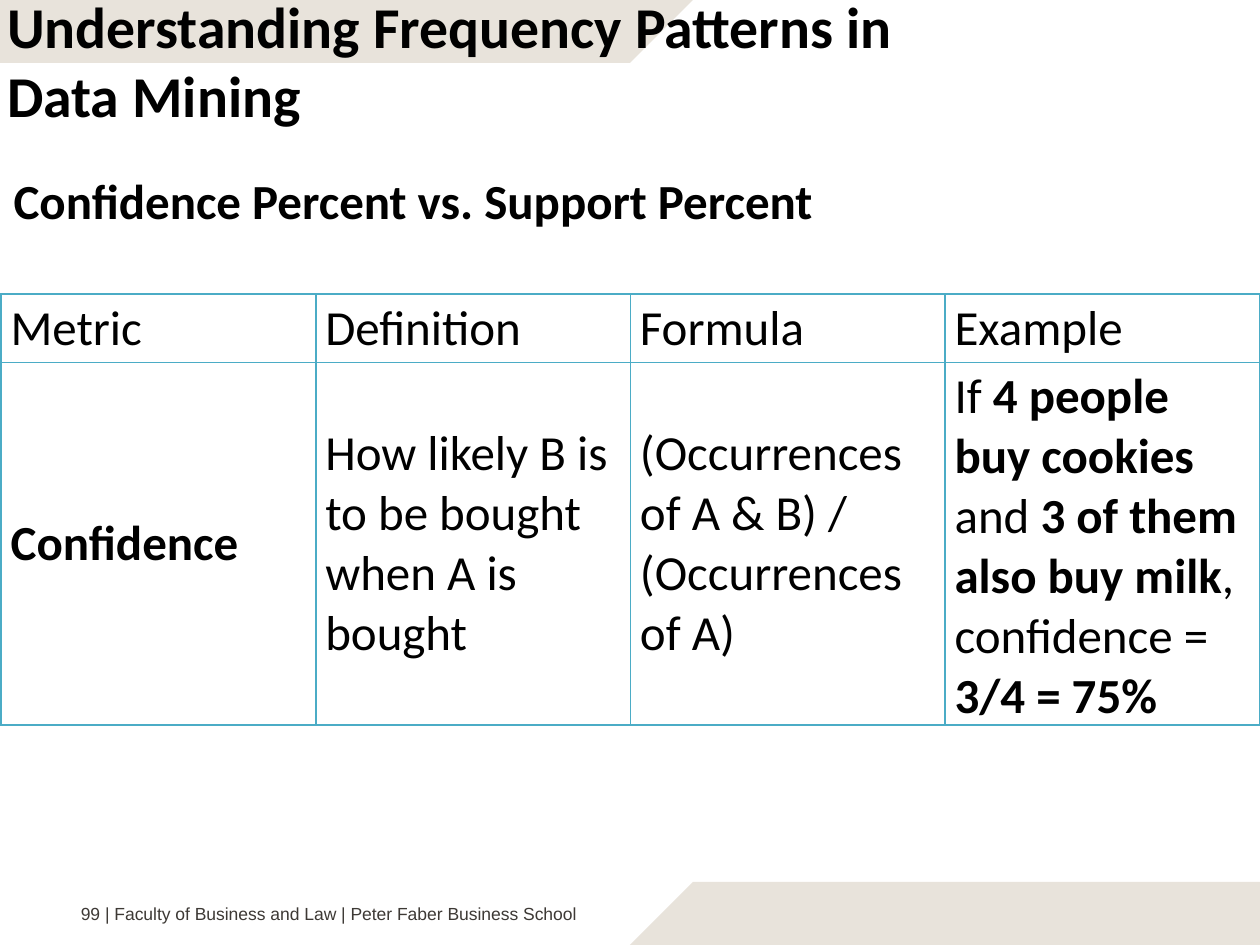
from pptx import Presentation
from pptx.util import Pt
from pptx.dml.color import RGBColor as RGB
from pptx.enum.text import MSO_ANCHOR as Anchor
from pptx.oxml import parse_xml
from pptx.oxml.ns import nsdecls

TITLE = "Understanding Frequency Patterns in Data Mining"
HEAD = "Confidence Percent vs. Support Percent"
FOOT = "99 | Faculty of Business and Law | Peter Faber Business School"
ROWS = [
    ["Metric", "Definition", "Formula", "Example"],
    [
        [("Confidence", True)],
        "How likely B is to be bought when A is bought",
        "(Occurrences of A & B) / (Occurrences of A)",
        [
            ("If ", False),
            ("4 people buy cookies", True),
            (" and ", False),
            ("3 of them also buy milk", True),
            (", confidence = ", False),
            ("3/4 = 75%", True),
        ],
    ],
]
BANDS = [
    [(0, 0), (396, 0), (360, 36), (0, 36)],
    [(396, 504), (720, 504), (720, 540), (360, 540)],
]
HIGHS = [39, 207]
WIDE = 719.3 / 4


def tint(code):
    return RGB.from_string(code)


def write(frame, text, size=28, bold=False, font="Calibri", color="000000"):
    para = frame.paragraphs[0]
    runs = [(text, bold)] if isinstance(text, str) else text
    for part, heavy in runs:
        run = para.add_run()
        run.text = part
        run.font.size = Pt(size)
        run.font.name = font
        run.font.bold = heavy
        run.font.color.rgb = tint(color)
    return para


def label(slide, place, text, wrap=True, inset=None, anchor=Anchor.MIDDLE, **style):
    frame = slide.shapes.add_textbox(*map(Pt, place)).text_frame
    frame.word_wrap = wrap
    frame.vertical_anchor = anchor
    if inset is not None:
        frame.margin_left = frame.margin_right = Pt(inset)
        frame.margin_top = frame.margin_bottom = Pt(inset)
    return write(frame, text, **style)


def band(slide, spots):
    form = slide.shapes.build_freeform(*spots[0], scale=Pt(1))
    form.add_line_segments(spots[1:], close=True)
    shape = form.convert_to_shape()
    shape.shadow.inherit = False
    shape.fill.solid()
    shape.fill.fore_color.rgb = tint("E8E3DB")
    shape.line.fill.background()


def border(cell, color):
    props = cell._tc.get_or_add_tcPr()
    for at, side in enumerate(("lnL", "lnR", "lnT", "lnB")):
        props.insert(at, parse_xml(
            f'<a:{side} {nsdecls("a")} w="{Pt(1)}"><a:solidFill>'
            f'<a:srgbClr val="{color}"/></a:solidFill></a:{side}>'))


def grid(slide):
    place = map(Pt, (0.7, 168, WIDE * 4, sum(HIGHS)))
    table = slide.shapes.add_table(len(ROWS), len(ROWS[0]), *place).table
    for col in table.columns:
        col.width = Pt(WIDE)
    for r, texts in enumerate(ROWS):
        table.rows[r].height = Pt(HIGHS[r])
        for c, text in enumerate(texts):
            cell = table.cell(r, c)
            cell.fill.solid()
            cell.fill.fore_color.rgb = tint("FFFFFF")
            cell.vertical_anchor = Anchor.MIDDLE
            cell.margin_left = cell.margin_right = Pt(5.4)
            cell.margin_top = cell.margin_bottom = Pt(2.7)
            border(cell, "4BACC6")
            write(cell.text_frame, text)


def main():
    deck = Presentation()
    deck.slide_width, deck.slide_height = Pt(720), Pt(540)
    slide = deck.slides.add_slide(deck.slide_layouts[6])
    for spots in BANDS:
        band(slide, spots)
    foot = label(slide, (43.2, 516.2, 294, 13), FOOT, inset=0, anchor=Anchor.TOP,
                 size=10, font="Arial", color="3D3935")
    foot._p.get_or_add_pPr().set("marL", str(Pt(3)))
    label(slide, (-3, -9.4, 561, 87), TITLE, size=33, bold=True)
    grid(slide)
    label(slide, (0.7, 93.6, 479.5, 41), HEAD, wrap=False, bold=True)
    deck.save("out.pptx")


if __name__ == "__main__":
    main()
